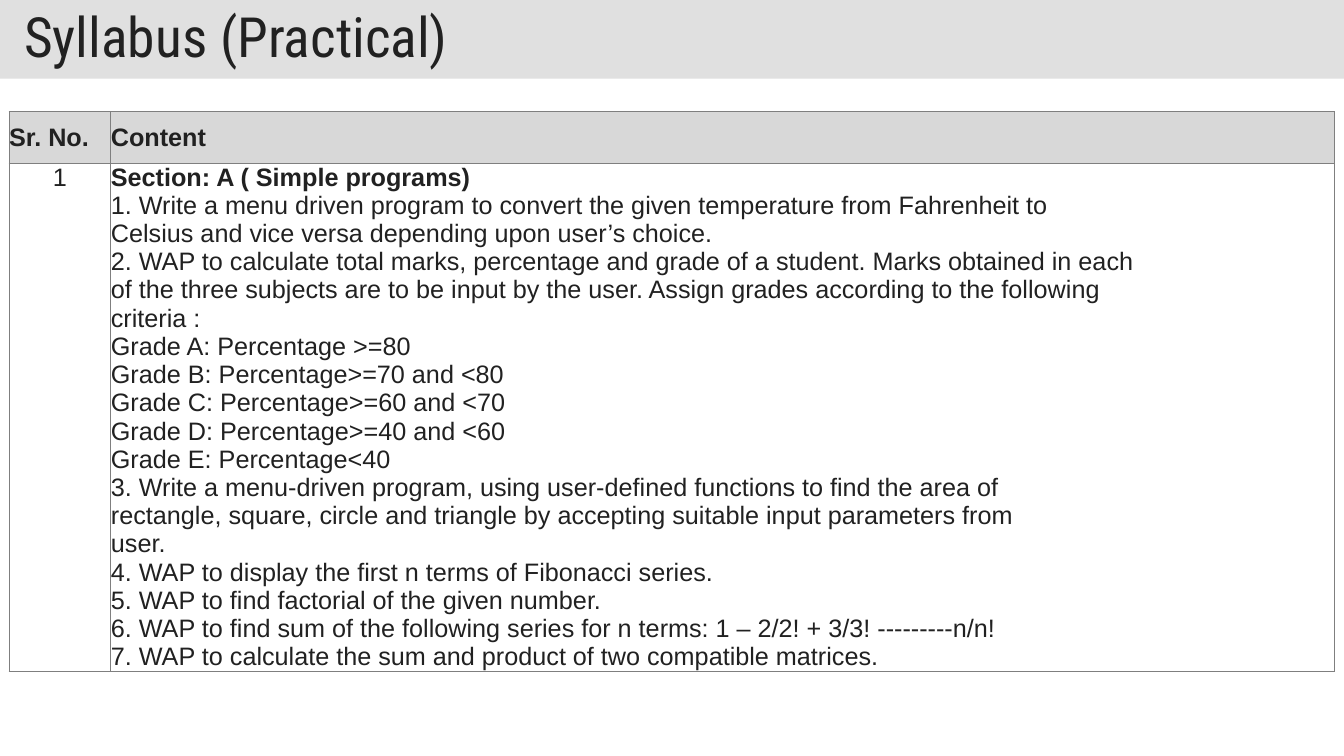
from lxml import etree
from pptx import Presentation
from pptx import util as u
from pptx.dml.color import RGBColor
from pptx.enum import shapes, text
from pptx.oxml import ns

COLORS = {"ink": "212121", "band": "C0C0C0", "header": "D8D8D8", "border": "7F7F7F"}
WIDTH, HEIGHT = 13.33, 7.5
COLUMNS = [1.01, 12.14]
ROWS = [0.51, 5.04]
TABLE_TOP = 1.11

HEADINGS = ["Sr. No.", "Content"]
SECTION = "Section: A ( Simple programs)"
PROGRAMS = [
    "1. Write a menu driven program to convert the given temperature from Fahrenheit to",
    "Celsius and vice versa depending upon user’s choice.",
    "2. WAP to calculate total marks, percentage and grade of a student. Marks obtained in each",
    "of the three subjects are to be input by the user. Assign grades according to the following",
    "criteria :",
    "Grade A: Percentage >=80",
    "Grade B: Percentage>=70 and <80",
    "Grade C: Percentage>=60 and <70",
    "Grade D: Percentage>=40 and <60",
    "Grade E: Percentage<40",
    "3. Write a menu-driven program, using user-defined functions to find the area of",
    "rectangle, square, circle and triangle by accepting suitable input parameters from",
    "user.",
    "4. WAP to display the first n terms of Fibonacci series.",
    "5. WAP to find factorial of the given number.",
    "6. WAP to find sum of the following series for n terms: 1 – 2/2! + 3/3! ---------n/n!",
    "7. WAP to calculate the sum and product of two compatible matrices.",
]


def write(para, words, font="Arial", size=18, bold=False, align="JUSTIFY", spacing=None):
    para.alignment = getattr(text.PP_ALIGN, align)
    para.line_spacing = spacing
    span = para.add_run()
    span.text = words
    span.font.name = font
    span.font.size = u.Pt(size)
    span.font.bold = bold
    span.font.color.rgb = RGBColor.from_string(COLORS["ink"])


def add_borders(cell):
    properties = cell._tc.get_or_add_tcPr()
    for side in ("lnL", "lnR", "lnT", "lnB"):
        line = etree.SubElement(properties, ns.qn("a:" + side), w=str(u.Pt(0.75)))
        fill = etree.SubElement(line, ns.qn("a:solidFill"))
        etree.SubElement(fill, ns.qn("a:srgbClr"), val=COLORS["border"])


deck = Presentation()
deck.slide_width, deck.slide_height = u.Inches(WIDTH), u.Inches(HEIGHT)
page = deck.slides.add_slide(deck.slide_layouts[6])

# Title band
band = page.shapes.add_shape(shapes.MSO_SHAPE.RECTANGLE, 0, 0, deck.slide_width, u.Inches(0.78))
band.shadow.inherit = False
band.line.fill.background()
band.fill.solid()
band.fill.fore_color.rgb = RGBColor.from_string(COLORS["band"])
band_color = band._element.spPr.find(".//" + ns.qn("a:srgbClr"))
etree.SubElement(band_color, ns.qn("a:alpha"), val="49000")
frame = band.text_frame
frame.word_wrap = True
frame.vertical_anchor = text.MSO_ANCHOR.MIDDLE
frame.margin_left = frame.margin_right = u.Inches(0.24)
frame.margin_top = frame.margin_bottom = u.Inches(0.12)
write(frame.paragraphs[0], "Syllabus (Practical)", font="Roboto Condensed", size=39.6,
      align="LEFT", spacing=0.9)

# Syllabus table, centred across the slide
left = (WIDTH - sum(COLUMNS)) / 2
table = page.shapes.add_table(2, 2, u.Inches(left), u.Inches(TABLE_TOP),
                              u.Inches(sum(COLUMNS)), u.Inches(sum(ROWS))).table
table.first_row = table.horz_banding = False
for column, width in zip(table.columns, COLUMNS):
    column.width = u.Inches(width)
for row, height in zip(table.rows, ROWS):
    row.height = u.Inches(height)

for cell in table.iter_cells():
    cell.margin_left = cell.margin_right = cell.margin_top = cell.margin_bottom = 0
    add_borders(cell)
    cell.fill.background()

for column, heading in enumerate(HEADINGS):
    cell = table.cell(0, column)
    cell.vertical_anchor = text.MSO_ANCHOR.MIDDLE
    cell.fill.solid()
    cell.fill.fore_color.rgb = RGBColor.from_string(COLORS["header"])
    write(cell.text_frame.paragraphs[0], heading, bold=True)

write(table.cell(1, 0).text_frame.paragraphs[0], "1", align="CENTER")
content = table.cell(1, 1).text_frame
write(content.paragraphs[0], SECTION, bold=True)
for program in PROGRAMS:
    write(content.add_paragraph(), program)

deck.save("out.pptx")
